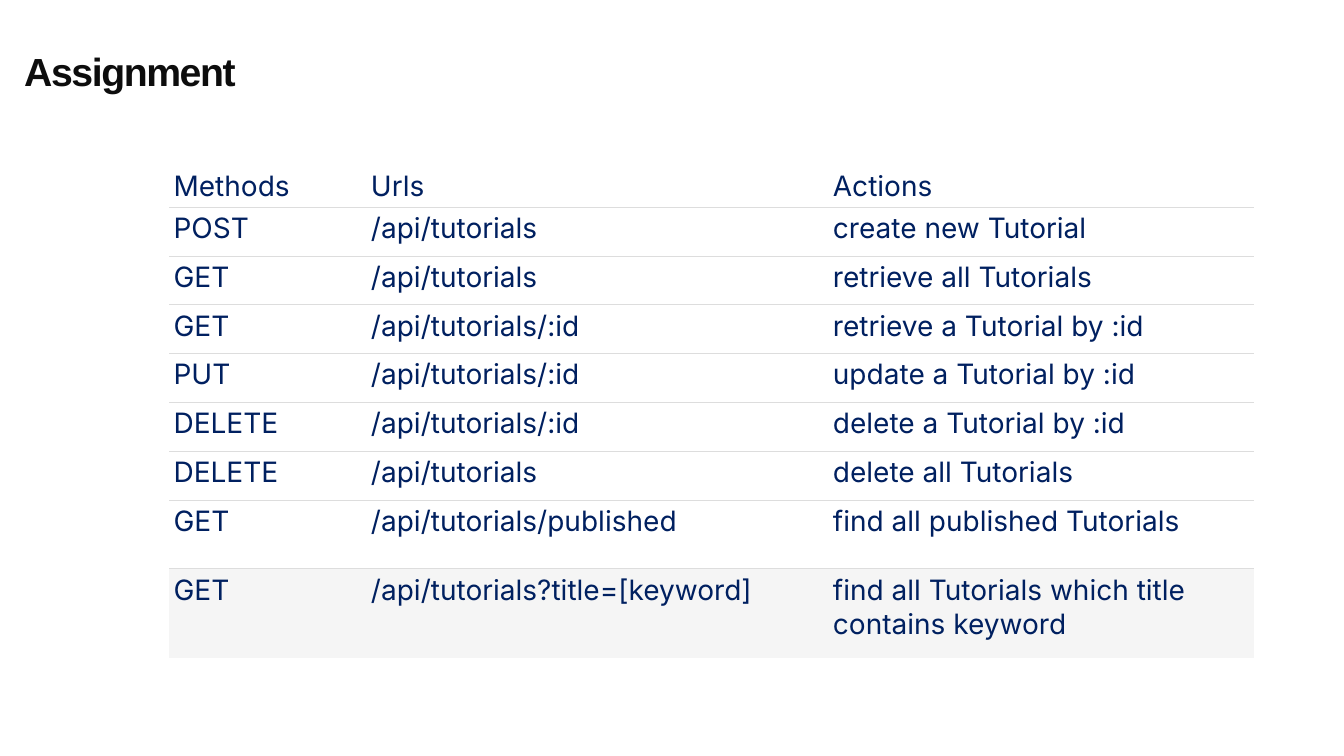
from lxml import etree
from pptx import Presentation
from pptx.dml.color import RGBColor
from pptx.enum.text import MSO_ANCHOR, MSO_AUTO_SIZE
from pptx.oxml.ns import qn
from pptx.util import Pt

TOP, BOTTOM = MSO_ANCHOR.TOP, MSO_ANCHOR.BOTTOM
FIT_SHAPE = MSO_AUTO_SIZE.SHAPE_TO_FIT_TEXT
COLORS = {
    "title": "0D0D0D",
    "text": "002060",
    "rule": "DDDDDD",
    "plain": "FFFFFF",
    "shaded": "F5F5F5",
}


def add_span(para, text, font, size, color):
    span = para.add_run()
    span.text = text
    span.font.name = font
    span.font.size = Pt(size)
    span.font.color.rgb = RGBColor.from_string(COLORS[color])
    return span


def set_borders(cell, ruled_sides):
    properties = cell._tc.get_or_add_tcPr()
    for position, side in enumerate(("lnL", "lnR", "lnT", "lnB")):
        line = etree.Element(qn(f"a:{side}"))
        if side in ruled_sides:
            line.set("w", str(Pt(0.6)))
            fill = etree.SubElement(line, qn("a:solidFill"))
            etree.SubElement(fill, qn("a:srgbClr"), val=COLORS["rule"])
        else:
            etree.SubElement(line, qn("a:noFill"))
        properties.insert(position, line)


deck = Presentation()
deck.slide_width, deck.slide_height = Pt(960), Pt(540)
page = deck.slides.add_slide(deck.slide_layouts[6])

# Title
box = page.shapes.add_textbox(Pt(17.3), Pt(33.8), Pt(762.5), Pt(33.8))
frame = box.text_frame
frame.word_wrap = True
frame.auto_size = FIT_SHAPE
frame.vertical_anchor = BOTTOM
frame.margin_left = frame.margin_right = frame.margin_top = frame.margin_bottom = 0
title = add_span(frame.paragraphs[0], "Assignment", "Arial", 28, "title")
title.font.bold = True
title.font._element.set("spc", "-100")

# Table of endpoints
ENDPOINTS = [
    ("Methods", "Urls", "Actions"),
    ("POST", "/api/tutorials", "create new Tutorial"),
    ("GET", "/api/tutorials", "retrieve all Tutorials"),
    ("GET", "/api/tutorials/:id", "retrieve a Tutorial by :id"),
    ("PUT", "/api/tutorials/:id", "update a Tutorial by :id"),
    ("DELETE", "/api/tutorials/:id", "delete a Tutorial by :id"),
    ("DELETE", "/api/tutorials", "delete all Tutorials"),
    ("GET", "/api/tutorials/published", "find all published Tutorials"),
    ("GET", "/api/tutorials?title=[keyword]",
     "find all Tutorials which title contains keyword"),
]
WIDTHS = [141, 330, 304]
HEIGHTS = [30.5] + [34.9] * 6 + [49, 63.5]
LAST = len(ENDPOINTS) - 1

table = page.shapes.add_table(
    len(ENDPOINTS), len(WIDTHS), Pt(121), Pt(117.4),
    Pt(sum(WIDTHS)), Pt(sum(HEIGHTS)),
).table
table.horz_banding = False
for column, width in zip(table.columns, WIDTHS):
    column.width = Pt(width)

for index, (endpoint, height) in enumerate(zip(ENDPOINTS, HEIGHTS)):
    table.rows[index].height = Pt(height)
    # Rules run only between rows
    ruled_sides = {"lnT"} if index > 0 else set()
    if index < LAST:
        ruled_sides.add("lnB")
    for cell, text in zip(table.rows[index].cells, endpoint):
        cell.margin_left = cell.margin_right = Pt(3)
        cell.margin_top = cell.margin_bottom = Pt(3)
        cell.vertical_anchor = BOTTOM if index == 0 else TOP
        cell.fill.solid()
        shade = "shaded" if index == LAST else "plain"
        cell.fill.fore_color.rgb = RGBColor.from_string(COLORS[shade])
        set_borders(cell, ruled_sides)
        span = add_span(cell.text_frame.paragraphs[0], text, "Inter", 20, "text")
        span.font.bold = False

deck.save("out.pptx")
